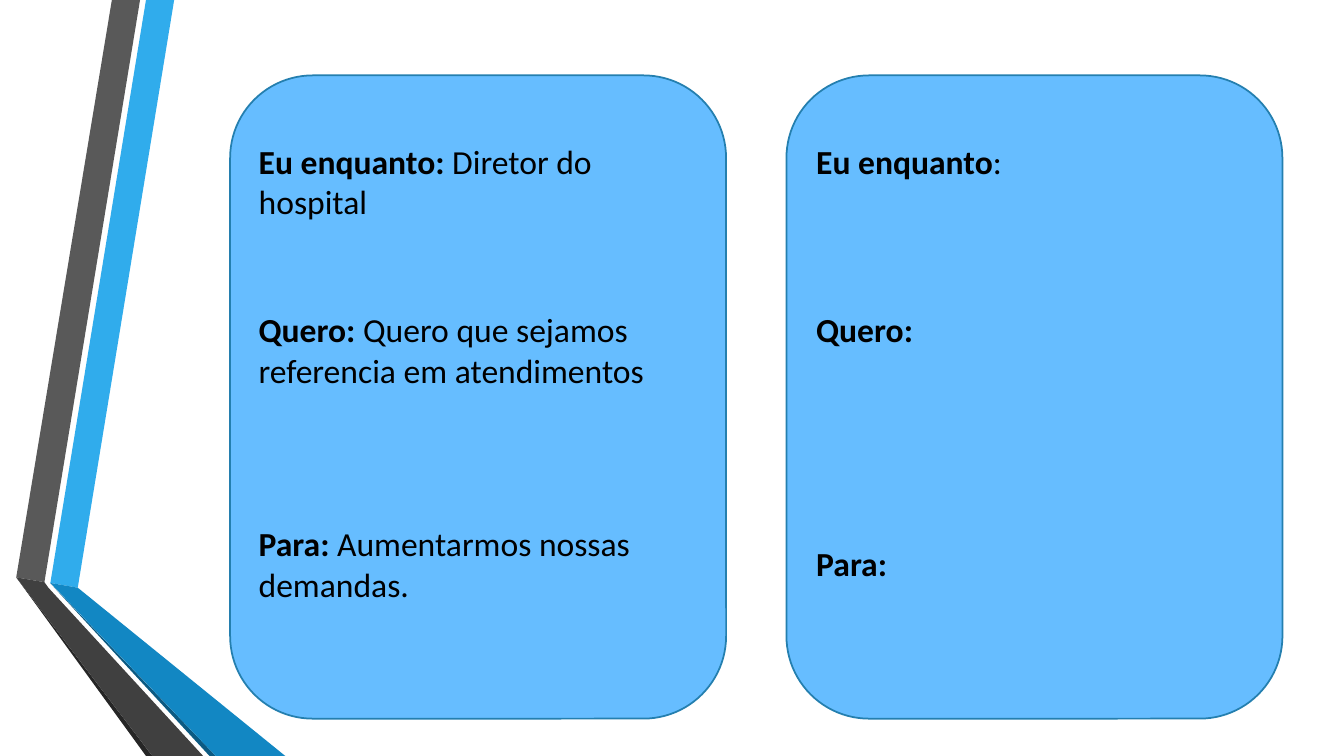
from dataclasses import dataclass

from pptx import Presentation
from pptx import util as u
from pptx.dml.color import RGBColor
from pptx.enum import shapes, text


@dataclass(frozen=True)
class Theme:
    font: str = "Calibri"
    size: int = 24
    ink: str = "000000"
    card: str = "66BDFF"
    card_line: str = "247FAF"
    blue: str = "30ACEC"
    blue_mid: str = "1287C3"
    blue_dark: str = "0C5A82"
    grey: str = "595959"
    grey_mid: str = "404040"
    grey_dark: str = "262626"


def add_run(p, content, *, font, size, color, bold=False):
    r = p.add_run()
    r.text = content
    r.font.name = font
    r.font.size = u.Pt(size)
    r.font.bold = bold
    r.font.color.rgb = RGBColor.from_string(color)


class Deck:
    """Holds the theme and the current slide; lengths are in centimetres."""

    def __init__(self, prs, theme):
        self.theme = theme
        self.s = prs.slides.add_slide(prs.slide_layouts[6])

    def paint(self, sp, fill, line=None):
        sp.shadow.inherit = False
        sp.fill.solid()
        sp.fill.fore_color.rgb = RGBColor.from_string(fill)
        if line:
            sp.line.color.rgb = RGBColor.from_string(line)
            sp.line.width = u.Pt(1.25)
        else:
            sp.line.fill.background()

    def ribbon(self, fill, *points):
        start, *rest = [(u.Cm(x), u.Cm(y)) for x, y in points]
        fb = self.s.shapes.build_freeform(*start)
        fb.add_line_segments(rest, close=True)
        self.paint(fb.convert_to_shape(), fill)

    def card(self, x, y, w, h):
        sp = self.s.shapes.add_shape(
            shapes.MSO_SHAPE.ROUNDED_RECTANGLE, *map(u.Cm, (x, y, w, h)))
        self.paint(sp, self.theme.card, self.theme.card_line)

    def field(self, x, y, w, h, label, value=""):
        tf = self.s.shapes.add_textbox(*map(u.Cm, (x, y, w, h))).text_frame
        tf.word_wrap = True
        tf.auto_size = text.MSO_AUTO_SIZE.SHAPE_TO_FIT_TEXT
        t = self.theme
        for content, bold in ((label, True), (value, False)):
            if content:
                add_run(tf.paragraphs[0], content, font=t.font, size=t.size,
                        color=t.ink, bold=bold)


def main():
    prs = Presentation()
    prs.slide_width, prs.slide_height = u.Cm(33.87), u.Cm(19.05)
    t = Theme()
    deck = Deck(prs, t)
    bottom = 19.05

    # Folded ribbons on the left edge
    deck.ribbon(t.blue, (1.27, 14.69), (1.96, 14.81), (4.39, 0), (3.68, 0))
    deck.ribbon(t.grey, (3.53, 0), (2.82, 0), (0.41, 14.55), (1.12, 14.67))
    deck.ribbon(t.grey_dark, (0.41, 14.55), (3.68, bottom), (3.84, bottom))
    deck.ribbon(t.blue_dark, (1.27, 14.7), (5.28, bottom), (5.44, bottom))
    deck.ribbon(t.blue_mid, (1.27, 14.69), (5.44, bottom), (7.19, bottom),
                (1.96, 14.81))
    deck.ribbon(t.grey_mid, (5.12, bottom), (1.22, 14.81), (1.12, 14.67),
                (0.41, 14.55), (3.84, bottom))

    # Two story cards
    for x in (5.8, 19.82):
        deck.card(x, 1.9, 12.5, 16.21)

    # Filled-in story
    deck.field(6.27, 3.43, 11.28, 2.31, "Eu enquanto: ", "Diretor do hospital")
    deck.field(6.27, 7.67, 11.86, 2.31, "Quero: ",
               "Quero que sejamos referencia em atendimentos")
    deck.field(6.27, 13.06, 11.28, 4.37, "Para:",
               " Aumentarmos nossas demandas.")

    # Blank story
    for y, label, value in ((3.43, "Eu enquanto", ":"), (7.67, "Quero:", ""),
                            (13.56, "Para:", "")):
        deck.field(20.32, y, 11.15, 1.27, label, value)

    prs.save("out.pptx")


if __name__ == "__main__":
    main()
